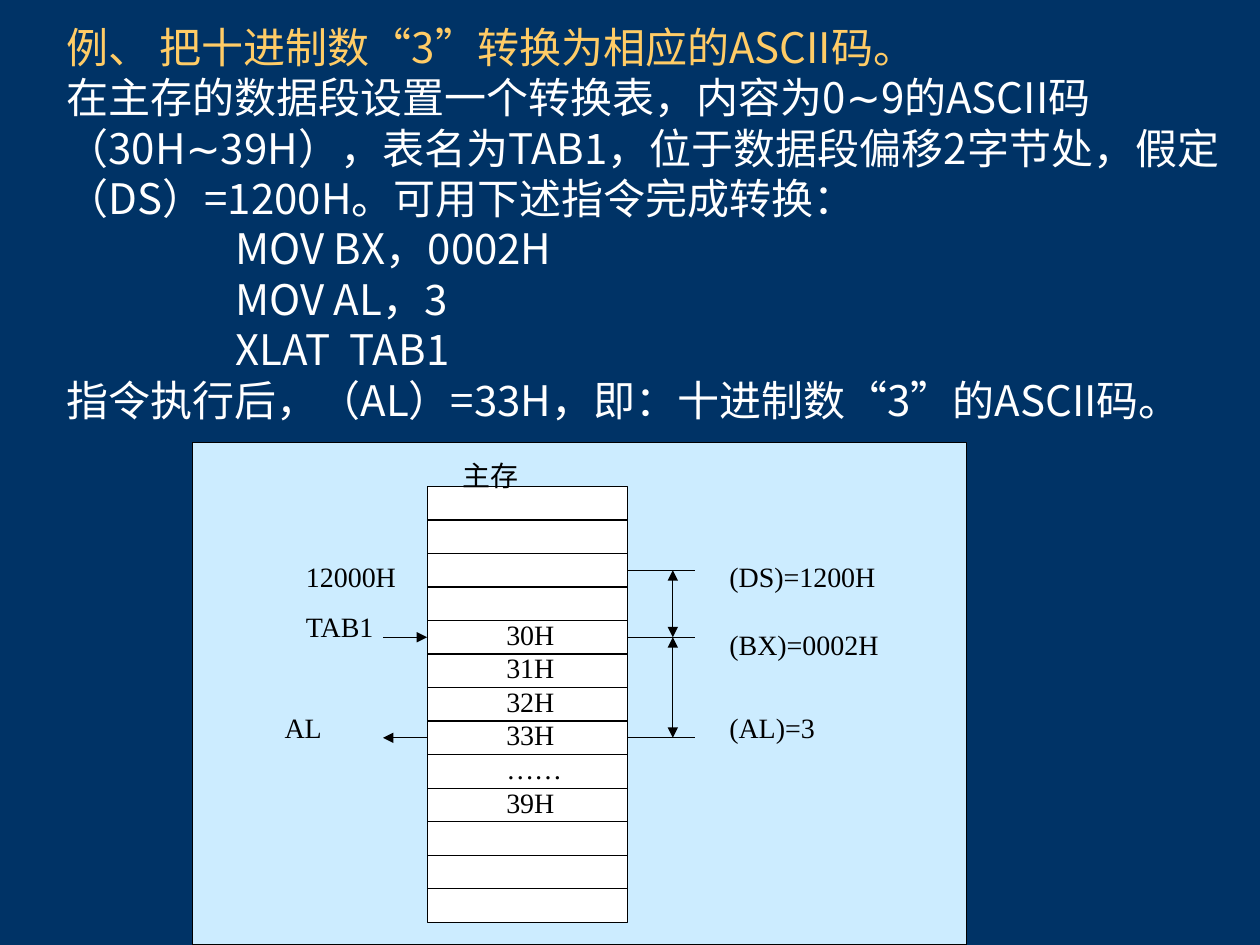
from itertools import groupby

from lxml import etree
from pptx import Presentation
from pptx.dml.color import RGBColor
from pptx.enum.shapes import MSO_CONNECTOR, MSO_SHAPE
from pptx.enum.text import MSO_ANCHOR, PP_ALIGN
from pptx.oxml.ns import qn
from pptx.util import Inches, Pt

STRAIGHT = MSO_CONNECTOR.STRAIGHT
RECTANGLE = MSO_SHAPE.RECTANGLE
MIDDLE = MSO_ANCHOR.MIDDLE
JUSTIFY = PP_ALIGN.JUSTIFY

NAVY = RGBColor(0x00, 0x33, 0x66)
GOLD = RGBColor(0xFF, 0xCC, 0x66)
WHITE = RGBColor(0xFF, 0xFF, 0xFF)
BLACK = RGBColor(0x00, 0x00, 0x00)
PALE_BLUE = RGBColor(0xCC, 0xEC, 0xFF)

CJK_FONT = "Noto Sans CJK JP"
SYMBOL_FONT = "Arial"
LABEL_FONT = "Times New Roman"
SYMBOLS = "“”∼"
LINE_HEIGHT = 1.2

CODE_INDENT = " " * 18
EXAMPLE = [
    "例、 把十进制数“3”转换为相应的ASCII码。",
    "在主存的数据段设置一个转换表，内容为0∼9的ASCII码（30H∼39H），"
    "表名为TAB1，位于数据段偏移2字节处，假定（DS）=1200H。可用下述指令完成转换：",
    CODE_INDENT + "MOV BX，0002H",
    CODE_INDENT + "MOV AL，3",
    CODE_INDENT + "XLAT  TAB1",
    "指令执行后，（AL）=33H，即：十进制数“3”的ASCII码。",
]

MEMORY_LEFT, MEMORY_TOP = 3.39, 3.86
MEMORY_WIDTH, MEMORY_HEIGHT = 1.59, 3.46
MEMORY_RIGHT = MEMORY_LEFT + MEMORY_WIDTH
ROW_COUNT = 13
ROW_HEIGHT = MEMORY_HEIGHT / ROW_COUNT
BASE_ROW, TABLE_ROW, RESULT_ROW = 2, 4, 7
POINTER_LEFT = 3.04
TICK_RIGHT = 5.52
OFFSET_X = 5.34

TABLE_CONTENT = ["30H", "31H", "32H", "33H", "……", "39H"]
LABELS = [
    ("主存", 3.57, 3.59, 1.06),
    ("12000H", 2.33, 4.39, 1.06),
    ("TAB1", 2.33, 4.79, 0.88),
    ("AL", 2.16, 5.59, 0.88),
    ("(DS)=1200H", 5.69, 4.39, 1.59),
    ("(BX)=0002H", 5.69, 4.93, 1.59),
    ("(AL)=3", 5.69, 5.59, 1.06),
]


def row_middle(row):
    return MEMORY_TOP + (row + 0.5) * ROW_HEIGHT


def add_text_box(shapes, left, top, width, height):
    box = shapes.add_textbox(Inches(left), Inches(top), Inches(width), Inches(height))
    box.text_frame.word_wrap = True
    return box.text_frame


def format_run(run, font_name, size, color):
    run.font.name = font_name
    run.font.size = Pt(size)
    run.font.color.rgb = color


def add_example(slide):
    """Add the worked example, with quotes and tildes in the symbol font."""
    frame = add_text_box(slide.shapes, 0.43, -0.08, 9.57, 3.7)
    frame.vertical_anchor = MIDDLE
    for index, line in enumerate(EXAMPLE):
        paragraph = frame.paragraphs[0] if index == 0 else frame.add_paragraph()
        paragraph.line_spacing = Pt(24 * LINE_HEIGHT)
        # Closing punctuation must stay inside the right margin.
        paragraph._p.get_or_add_pPr().set("hangingPunct", "0")
        color = GOLD if index == 0 else WHITE
        for is_symbol, letters in groupby(line, key=lambda letter: letter in SYMBOLS):
            run = paragraph.add_run()
            run.text = "".join(letters)
            format_run(run, SYMBOL_FONT if is_symbol else CJK_FONT, 24, color)
            east_asian = etree.SubElement(run.font._element, qn("a:ea"))
            east_asian.set("typeface", CJK_FONT)


def add_rectangle(shapes, left, top, width, height, fill):
    rectangle = shapes.add_shape(
        RECTANGLE, Inches(left), Inches(top), Inches(width), Inches(height))
    rectangle.shadow.inherit = False
    rectangle.fill.solid()
    rectangle.fill.fore_color.rgb = fill
    rectangle.line.color.rgb = BLACK
    rectangle.line.width = Pt(0.75)


def add_line(shapes, start, end, arrowheads=()):
    """Draw a line; arrowheads lists "headEnd" (start) and "tailEnd" (end)."""
    line = shapes.add_connector(STRAIGHT, *map(Inches, start + end))
    line.line.color.rgb = BLACK
    line.line.width = Pt(0.75)
    for arrowhead in arrowheads:
        etree.SubElement(line.line._get_or_add_ln(), qn(f"a:{arrowhead}"), type="triangle")
    etree.SubElement(line._element.spPr, qn("a:effectLst"))


def add_label(shapes, lines, left, top, width, height=0.4):
    frame = add_text_box(shapes, left, top, width, height)
    frame.text = "\n".join(lines)
    for paragraph in frame.paragraphs:
        paragraph.alignment = JUSTIFY
        paragraph.line_spacing = Pt(16 * LINE_HEIGHT)
        format_run(paragraph.runs[0], LABEL_FONT, 16, BLACK)


def add_memory(shapes):
    add_rectangle(shapes, MEMORY_LEFT, MEMORY_TOP, MEMORY_WIDTH, MEMORY_HEIGHT, WHITE)
    for row in range(1, ROW_COUNT):
        y = MEMORY_TOP + row * ROW_HEIGHT
        add_line(shapes, (MEMORY_LEFT, y), (MEMORY_RIGHT, y))
    add_label(shapes, TABLE_CONTENT, 3.92, 4.85, 1.24, 1.87)


def add_pointers(shapes):
    base, table, result = map(row_middle, (BASE_ROW, TABLE_ROW, RESULT_ROW))
    add_line(shapes, (POINTER_LEFT, table), (MEMORY_LEFT, table), ["tailEnd"])
    add_line(shapes, (MEMORY_LEFT, result), (POINTER_LEFT, result), ["tailEnd"])
    for y in (base, table, result):
        add_line(shapes, (MEMORY_RIGHT, y), (TICK_RIGHT, y))
    for upper, lower in ((base, table), (table, result)):
        add_line(shapes, (OFFSET_X, upper), (OFFSET_X, lower), ["headEnd", "tailEnd"])


def main():
    presentation = Presentation()
    presentation.slide_width = Inches(10)
    presentation.slide_height = Inches(7.5)
    slide = presentation.slides.add_slide(presentation.slide_layouts[6])
    slide.background.fill.solid()
    slide.background.fill.fore_color.rgb = NAVY

    add_example(slide)
    diagram = slide.shapes.add_group_shape().shapes
    add_rectangle(diagram, 1.53, 3.51, 6.14, 3.99, PALE_BLUE)
    add_memory(diagram)
    add_pointers(diagram)
    for text, left, top, width in LABELS:
        add_label(diagram, [text], left, top, width)
    presentation.save("out.pptx")


if __name__ == "__main__":
    main()
